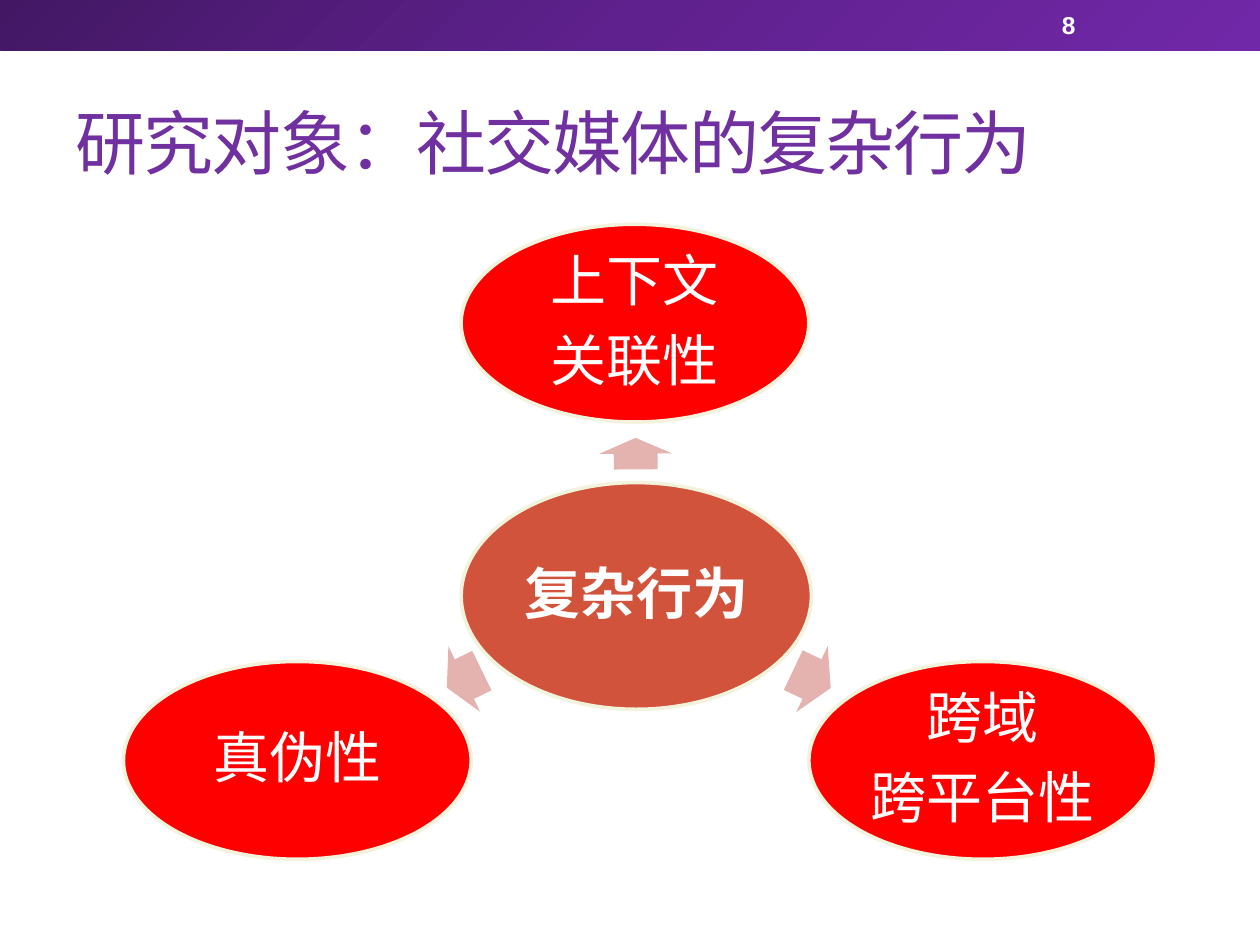
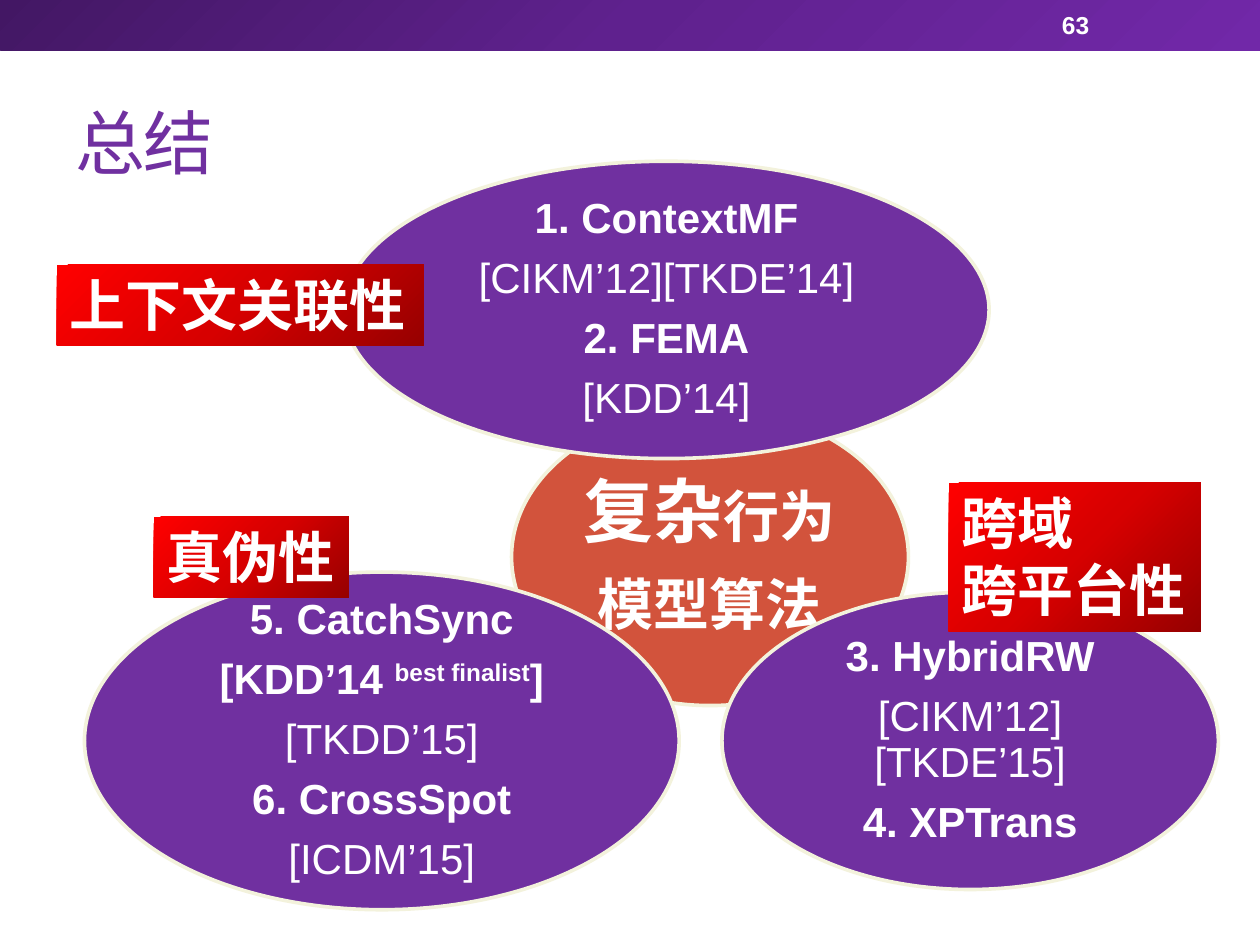
import lxml.etree
import pptx
import pptx.dml.color
import pptx.enum.shapes
import pptx.enum.text
import pptx.oxml
import pptx.oxml.ns
import pptx.util

Inches = pptx.util.Inches
SHAPES = pptx.enum.shapes.MSO_SHAPE
ALIGN = pptx.enum.text.PP_ALIGN
ANCHOR = pptx.enum.text.MSO_ANCHOR
FIT = pptx.enum.text.MSO_AUTO_SIZE

COLOURS = {
    "purple": "7030A0", "core": "D2533C", "red": "FF0000",
    "rim": "F3F2DC", "arrow": "E5B3AF", "white": "FFFFFF",
}
BAND_STOPS = ("431764", "5F218E", "7128A8")
LABEL_STOPS = ("970000", "D70000", "FF0000")
BAND_SHADE = '<a:lin ang="2700000" scaled="1"/>'
LABEL_SHADE = '<a:path path="circle"><a:fillToRect l="100000" t="100000"/></a:path>'
FONT = "Arial"


def rgb(name):
    return pptx.dml.color.RGBColor.from_string(COLOURS[name])


def add_child(parent, tag, **attributes):
    return lxml.etree.SubElement(parent, pptx.oxml.ns.qn(tag), attributes)


def write_text(frame, lines, size=32, colour="white", bold=False, align=ALIGN.LEFT,
               anchor=ANCHOR.MIDDLE, wrap=True, inset=None, spread=False, tracking=None):
    """Each line is a string or a list of (text, overrides) runs."""
    frame.word_wrap = wrap
    frame.vertical_anchor = anchor
    if inset is not None:
        frame.margin_left = frame.margin_right = Inches(inset)
        frame.margin_top = frame.margin_bottom = Inches(inset)
    for index, line in enumerate(lines):
        para = frame.add_paragraph() if index else frame.paragraphs[0]
        para.alignment = align
        if spread:
            para.line_spacing = 0.9
            para.space_after = pptx.util.Pt(0)
            after = para._p.pPr.find(pptx.oxml.ns.qn("a:spcAft"))
            after.remove(after[0])
            add_child(after, "a:spcPct", val="35000")
        for text, changes in [(line, {})] if isinstance(line, str) else line:
            span = para.add_run()
            span.text = text
            span.font.name = FONT
            span.font.size = pptx.util.Pt(changes.get("size", size))
            span.font.bold = changes.get("bold", bold)
            span.font.color.rgb = rgb(colour)
            if "raised" in changes:
                span.font._element.set("baseline", str(changes["raised"] * 1000))
            if tracking is not None:
                span.font._element.set("spc", str(tracking * 100))


def add_shape(page, kind, box, fill=None, rim=False):
    shape = page.shapes.add_shape(kind, *map(Inches, box))
    shape.shadow.inherit = False
    if fill:
        shape.fill.solid()
        shape.fill.fore_color.rgb = rgb(fill)
    if rim:
        shape.line.color.rgb = rgb("rim")
        shape.line.width = pptx.util.Pt(2.08)
    else:
        shape.line.fill.background()
    return shape


def shade(shape, stops, direction):
    """Fill with evenly spaced gradient stops."""
    shape.fill.background()
    step = 100000 // (len(stops) - 1)
    marks = "".join(
        f'<a:gs pos="{index * step}"><a:srgbClr val="{stop}"/></a:gs>'
        for index, stop in enumerate(stops))
    gradient = pptx.oxml.parse_xml(
        f'<a:gradFill {pptx.oxml.ns.nsdecls("a")} rotWithShape="1">'
        f'<a:gsLst>{marks}</a:gsLst>{direction}</a:gradFill>')
    properties = shape._element.spPr
    properties.replace(properties.find(pptx.oxml.ns.qn("a:noFill")), gradient)


def add_band(deck, page):
    """Draw the top band and hand it to the master, so that every page has it."""
    band = add_shape(page, SHAPES.RECTANGLE, (0, 0, 10, 0.4))
    shade(band, BAND_STOPS, BAND_SHADE)
    deck.slide_master.shapes._spTree.insert(2, band._element)


def add_page(deck, heading, number):
    page = deck.slides.add_slide(deck.slide_layouts[5])
    title = page.shapes.title
    title.left, title.top, title.width, title.height = map(Inches, (0.5, 0.58, 9, 1.08))
    title.text_frame.auto_size = FIT.NONE
    write_text(title.text_frame, [heading], size=40, colour="purple", tracking=-1)
    number_box = page.shapes.add_textbox(*map(Inches, (8.33, 0.02, 1.17, 0.36)))
    write_text(number_box.text_frame, [number], size=14, bold=True)
    return page


def add_oval(page, box, lines, fill, inset=0.04, **text_format):
    oval = add_shape(page, SHAPES.OVAL, box, fill, rim=True)
    write_text(oval.text_frame, lines, align=ALIGN.CENTER, inset=inset,
               spread=True, **text_format)


def add_arrow(page, box, turn):
    arrow = add_shape(page, SHAPES.RIGHT_ARROW, box, "arrow")
    arrow.adjustments[0], arrow.adjustments[1] = 0.6, 0.5
    arrow.rotation = turn


def add_label(page, box, lines):
    label = add_shape(page, SHAPES.RECTANGLE, box)
    shade(label, LABEL_STOPS, LABEL_SHADE)
    write_text(label.text_frame, lines, bold=True, anchor=ANCHOR.TOP, wrap=False)
    label.text_frame.auto_size = FIT.SHAPE_TO_FIT_TEXT


def draw_behaviours(page):
    """Central topic with three traits around it."""
    add_oval(page, (3.66, 3.83, 2.78, 1.8), ["复杂行为"], "core", bold=True)
    traits = [
        (3.66, 1.78, ["上下文", "关联性"]),
        (6.42, 5.25, ["跨域", "跨平台性"]),
        (0.98, 5.25, ["真伪性"]),
    ]
    arrows = [((4.92, 3.31, 0.25, 0.58), 269.6),
              ((6.28, 5.1, 0.33, 0.58), 25.5),
              ((3.53, 5.1, 0.31, 0.58), 154.1)]
    for (left, top, lines), (box, turn) in zip(traits, arrows):
        add_arrow(page, box, turn)
        add_oval(page, (left, top, 2.76, 1.57), lines, "red")


def draw_summary(page):
    """Central topic, the models for each trait, and the trait labels."""
    add_oval(page, (4.06, 3.24, 3.15, 2.36),
             [[("复杂", {"size": 40}), ("行为", {})], "模型算法"],
             "core", inset=0.06, bold=True)
    strong = {"bold": True}
    models = [
        ((2.73, 1.28, 5.12, 2.36),
         [[("1. ContextMF", strong)], "[CIKM’12][TKDE’14]",
          [("2. FEMA", strong)], "[KDD’14]"]),
        ((5.73, 4.7, 3.94, 2.36),
         [[("3. HybridRW", strong)], "[CIKM’12][TKDE’15]", [("4. XPTrans", strong)]]),
        ((0.67, 4.54, 4.72, 2.68),
         [[("5. CatchSync", strong)],
          [("[KDD’14 ", strong), ("best finalist", {"bold": True, "raised": 30}),
           ("]", strong)],
          "[TKDD’15]", [("6. CrossSpot", strong)], "[ICDM’15]"]),
    ]
    for box, lines in models:
        add_oval(page, box, lines, "purple", inset=0.03, size=24)
    # Trait labels
    add_label(page, (0.45, 2.1, 2.91, 0.64), ["上下文关联性"])
    add_label(page, (7.53, 3.83, 2, 1.18), ["跨域", "跨平台性"])
    add_label(page, (1.22, 4.1, 1.55, 0.64), ["真伪性"])


def main():
    deck = pptx.Presentation()
    deck.slide_width, deck.slide_height = Inches(10), Inches(7.5)
    behaviours = add_page(deck, "研究对象：社交媒体的复杂行为", "8")
    add_band(deck, behaviours)
    draw_behaviours(behaviours)
    draw_summary(add_page(deck, "总结", "63"))
    deck.save("out.pptx")


if __name__ == "__main__":
    main()
